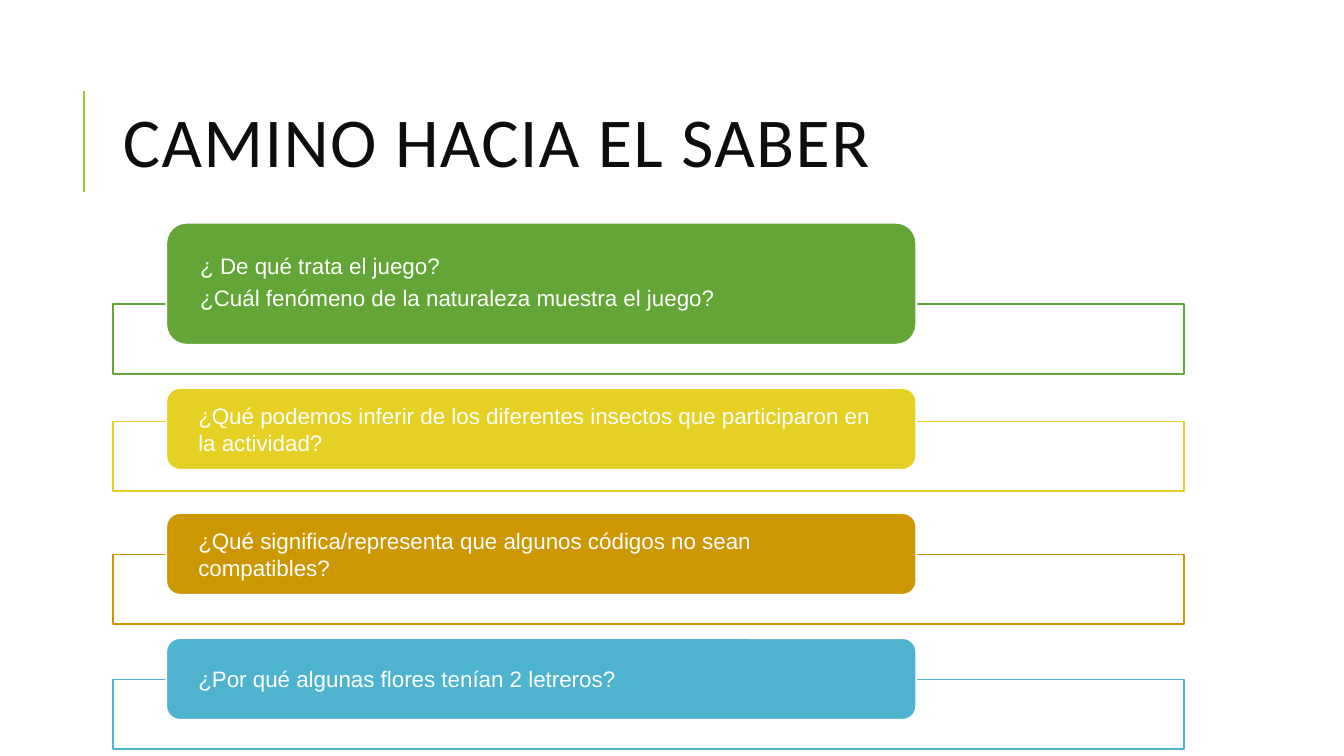
from dataclasses import dataclass

from lxml.etree import SubElement
from pptx import Presentation
from pptx.dml.color import RGBColor
from pptx.enum.shapes import MSO_CONNECTOR, MSO_SHAPE
from pptx.enum.text import MSO_ANCHOR, MSO_AUTO_SIZE, PP_ALIGN
from pptx.oxml.ns import qn
from pptx.util import Pt


@dataclass(frozen=True)
class Theme:
    white: str = "FFFFFF"
    ink: str = "0D0D0D"
    accent: str = "99CB38"
    title_font: str = "Calibri"
    body_font: str = "Arial"
    title_size: float = 50
    body_size: float = 16
    outline: float = 1.25
    accent_line: float = 1.5


THEME = Theme()

# Shared columns of the list
FRAME_LEFT, FRAME_WIDTH, FRAME_HEIGHT = 80.6, 765.4, 49.7
CARD_LEFT, CARD_WIDTH = 118.8, 535.7

# Card top, card height, frame top, colour, questions
TOPICS = [
    (159.1, 87.1, 217.4, "63A537",
     ["¿ De qué trata el juego?",
      "¿Cuál fenómeno de la naturaleza muestra el juego?"]),
    (277.2, 58.3, 301, "E6D024",
     ["¿Qué podemos inferir de los diferentes insectos que participaron en la actividad?"]),
    (366.5, 58.3, 396, "CC9700",
     ["¿Qué significa/representa que algunos códigos no sean compatibles?"]),
    (455.8, 58.3, 485.3, "4EB3CF",
     ["¿Por qué algunas flores tenían 2 letreros?"]),
]


def set_format(target, values):
    for name, value in values.items():
        setattr(target, name, value)


def format_font(font, name, size, color):
    set_format(font, {"name": name, "size": Pt(size), "bold": False})
    font.color.rgb = RGBColor.from_string(color)


def add_box(slide, kind, left, top, width, height, fill, line):
    shape = slide.shapes.add_shape(kind, Pt(left), Pt(top), Pt(width), Pt(height))
    shape.shadow.inherit = False
    shape.fill.solid()
    shape.fill.fore_color.rgb = RGBColor.from_string(fill)
    shape.line.color.rgb = RGBColor.from_string(line)
    shape.line.width = Pt(THEME.outline)
    return shape


def add_title(slide, text):
    title = slide.shapes.title
    set_format(title, {"left": Pt(80.6), "top": Pt(46.1),
                       "width": Pt(765.4), "height": Pt(118.1)})
    set_format(title.text_frame, {"text": text, "word_wrap": True,
                                  "auto_size": MSO_AUTO_SIZE.NONE,
                                  "vertical_anchor": MSO_ANCHOR.MIDDLE})
    paragraph = title.text_frame.paragraphs[0]
    set_format(paragraph, {"alignment": PP_ALIGN.LEFT, "line_spacing": 0.8})
    run = paragraph.runs[0]
    format_font(run.font, THEME.title_font, THEME.title_size, THEME.ink)
    run._r.get_or_add_rPr().set("spc", "100")  # letter spacing of 1 pt


def add_accent_line(slide):
    line = slide.shapes.add_connector(
        MSO_CONNECTOR.STRAIGHT, Pt(60), Pt(137), Pt(60), Pt(65))
    line.line.color.rgb = RGBColor.from_string(THEME.accent)
    line.line.width = Pt(THEME.accent_line)
    SubElement(line._element.spPr, qn("a:effectLst"))


def add_frame(slide, top, color):
    frame = add_box(slide, MSO_SHAPE.RECTANGLE, FRAME_LEFT, top,
                    FRAME_WIDTH, FRAME_HEIGHT, THEME.white, color)
    # Slightly transparent fill
    fill_color = frame._element.spPr.find(qn("a:solidFill"))[0]
    SubElement(fill_color, qn("a:alpha"), val="90000")


def add_card(slide, top, height, color, questions):
    card = add_box(slide, MSO_SHAPE.ROUNDED_RECTANGLE, CARD_LEFT, top,
                   CARD_WIDTH, height, color, THEME.white)
    text_frame = card.text_frame
    set_format(text_frame, {"text": "\n".join(questions), "word_wrap": True,
                            "vertical_anchor": MSO_ANCHOR.MIDDLE,
                            "margin_left": Pt(20), "margin_right": Pt(20),
                            "margin_top": 0, "margin_bottom": 0})
    for paragraph in text_frame.paragraphs:
        paragraph.alignment = PP_ALIGN.LEFT
        if len(questions) > 1:
            set_format(paragraph, {"line_spacing": 0.9, "space_after": Pt(5.6)})
        format_font(paragraph.runs[0].font, THEME.body_font,
                    THEME.body_size, THEME.white)


def main():
    presentation = Presentation()
    set_format(presentation, {"slide_width": Pt(960), "slide_height": Pt(540)})
    slide = presentation.slides.add_slide(presentation.slide_layouts[5])

    # Heading
    add_accent_line(slide)
    add_title(slide, "CAMINO HACIA EL SABER")

    # List of questions
    for card_top, card_height, frame_top, color, questions in TOPICS:
        add_frame(slide, frame_top, color)
        add_card(slide, card_top, card_height, color, questions)

    presentation.save("out.pptx")


if __name__ == "__main__":
    main()
